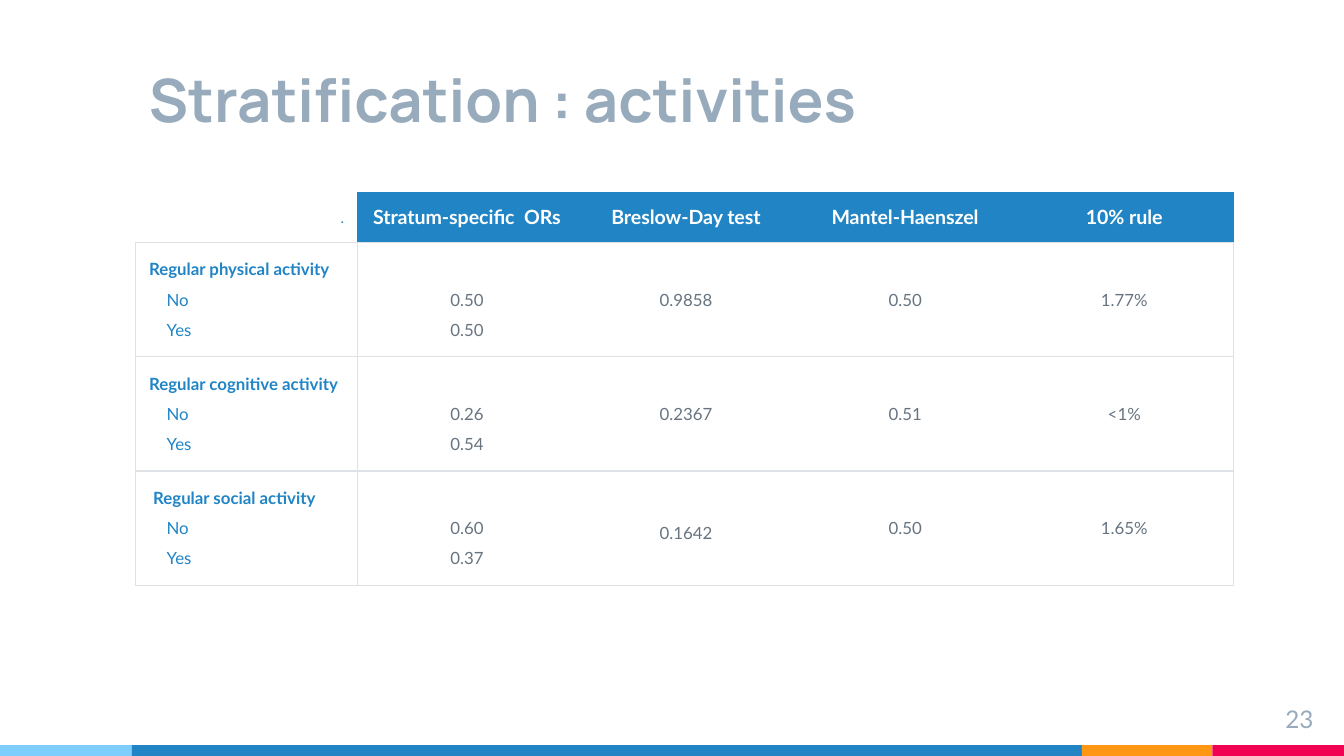
from pptx import Presentation, util as u
from pptx.dml.color import RGBColor
from pptx.enum import shapes, text
from pptx.oxml.ns import qn
from lxml import etree

W = 10
H = W * 9 / 16
BLUE, SLATE, GREY, RULE = "2185C5", "97ABBC", "677480", "DEE2E6"
BARS = [(0.98, "7ECEFD"), (7.07, BLUE), (0.97, "FF9715"), (0.98, "F20253")]
HEADER = [".", "Stratum-specific  ORs", "Breslow-Day test", "Mantel-Haenszel", "10% rule"]
LEVELS = ["No", "Yes"]
ACTIVITIES = [
    ("Regular physical activity", 0, ["0.50", "0.50"], "0.9858", "0.50", "1.77%"),
    ("Regular cognitive activity", 0, ["0.26", "0.54"], "0.2367", "0.51", "<1%"),
    ("Regular social activity", 0.03, ["0.60", "0.37"], "0.1642", "0.50", "1.65%"),
]
LEFT, TOP, COLS, ROWS = 1.01, 1.43, [1.65] + [1.63] * 4, [0.37] + [0.85] * 3
BAR_H, LEVEL_INDENT, HEADING_LINE = 0.08, 0.13, 0.15
L, C, R = text.PP_ALIGN.LEFT, text.PP_ALIGN.CENTER, text.PP_ALIGN.RIGHT


def rgb(color):
    return RGBColor.from_string(color)


def write(tf, lines, size, color, align=L, bold=False, font="Lato", spacing=None):
    tf.text = "\n".join(lines)
    for p in tf.paragraphs:
        p.alignment, p.line_spacing = align, spacing
        f = p.runs[0].font
        f.size, f.bold, f.name, f.color.rgb = u.Pt(size), bold, font, rgb(color)


def indent(p, inches):
    p._p.get_or_add_pPr().set("marL", str(u.Inches(inches)))


def text_box(s, box, anchor, *args, **kw):
    tf = s.shapes.add_textbox(*map(u.Inches, box)).text_frame
    tf.word_wrap, tf.vertical_anchor = True, anchor
    tf.margin_left = tf.margin_right = tf.margin_top = tf.margin_bottom = u.Inches(0.1)
    write(tf, *args, **kw)


def style_cell(cell, fill, borders):
    cell.vertical_anchor = text.MSO_ANCHOR.MIDDLE
    cell.margin_left = cell.margin_right = cell.margin_top = cell.margin_bottom = u.Inches(0.1)
    tcPr = cell._tc.get_or_add_tcPr()
    for side in "LRTB":
        ln = etree.SubElement(tcPr, qn(f"a:ln{side}"), w=str(u.Pt(0.75)))
        if side in borders:
            solid = etree.SubElement(ln, qn("a:solidFill"))
            etree.SubElement(solid, qn("a:srgbClr"), val=borders[side])
        else:
            etree.SubElement(ln, qn("a:noFill"))
    if fill:
        cell.fill.solid()
        cell.fill.fore_color.rgb = rgb(fill)
    else:
        cell.fill.background()


def add_results(s):
    box = (LEFT, TOP, sum(COLS), sum(ROWS))
    table = s.shapes.add_table(len(ROWS), len(COLS), *map(u.Inches, box)).table
    table.first_row = table.horz_banding = False
    table._tbl.tblPr.find(qn("a:tableStyleId")).text = "{2D5ABB26-0587-4C30-8999-92F81FD0307C}"
    for col, width in zip(table.columns, COLS):
        col.width = u.Inches(width)
    for row, height in zip(table.rows, ROWS):
        row.height = u.Inches(height)

    last = len(COLS) - 1
    for c, label in enumerate(HEADER):
        cell = table.cell(0, c)
        borders = {"B": RULE, "T": BLUE} if c else {"B": RULE, "R": BLUE}
        if c in (1, last):
            borders["L" if c == 1 else "R"] = BLUE
        style_cell(cell, BLUE if c else None, borders)
        if c:
            write(cell.text_frame, [label], 10.5, "FFFFFF", C, True)
        else:
            write(cell.text_frame, [label], 8, BLUE, R)

    for r, (name, shift, ratios, *results) in enumerate(ACTIVITIES, 1):
        for c in range(len(COLS)):
            sides = "LRTB" if c == 0 else "LTB" if c == 1 else "RTB" if c == last else "TB"
            style_cell(table.cell(r, c), None, dict.fromkeys(sides, RULE))
        tf = table.cell(r, 0).text_frame
        write(tf, [name] + LEVELS, 9, BLUE, spacing=1.5)
        heading, *levels = tf.paragraphs
        heading.line_spacing, heading.runs[0].font.bold = None, True
        indent(heading, shift)
        for p in levels:
            indent(p, LEVEL_INDENT)
        cell = table.cell(r, 1)
        cell.margin_top = u.Inches(0.1 + HEADING_LINE)
        write(cell.text_frame, ratios, 9, GREY, C, spacing=1.5)
        for c, value in enumerate(results, 2):
            spacing = 1.5 if value == "0.1642" else None
            write(table.cell(r, c).text_frame, [value], 9, GREY, C, spacing=spacing)


def main():
    """Build the stratification results slide."""
    prs = Presentation()
    prs.slide_width, prs.slide_height = u.Inches(W), u.Inches(H)
    s = prs.slides.add_slide(prs.slide_layouts[6])
    x = 0
    for width, color in BARS:
        box = (x, H - BAR_H, width, BAR_H)
        sp = s.shapes.add_shape(shapes.MSO_SHAPE.RECTANGLE, *map(u.Inches, box))
        sp.shadow.inherit = False
        sp.fill.solid()
        sp.fill.fore_color.rgb = rgb(color)
        sp.line.fill.background()
        x += width
    text_box(s, (LEFT, 0.16, 7.07, 0.94), text.MSO_ANCHOR.BOTTOM,
             ["Stratification : activities"], 32, SLATE, bold=True, font="Manrope")
    text_box(s, (9.27, 5.14, 0.6, 0.34), text.MSO_ANCHOR.TOP, ["23"], 13, SLATE, R)
    add_results(s)
    prs.save("out.pptx")


if __name__ == "__main__":
    main()
